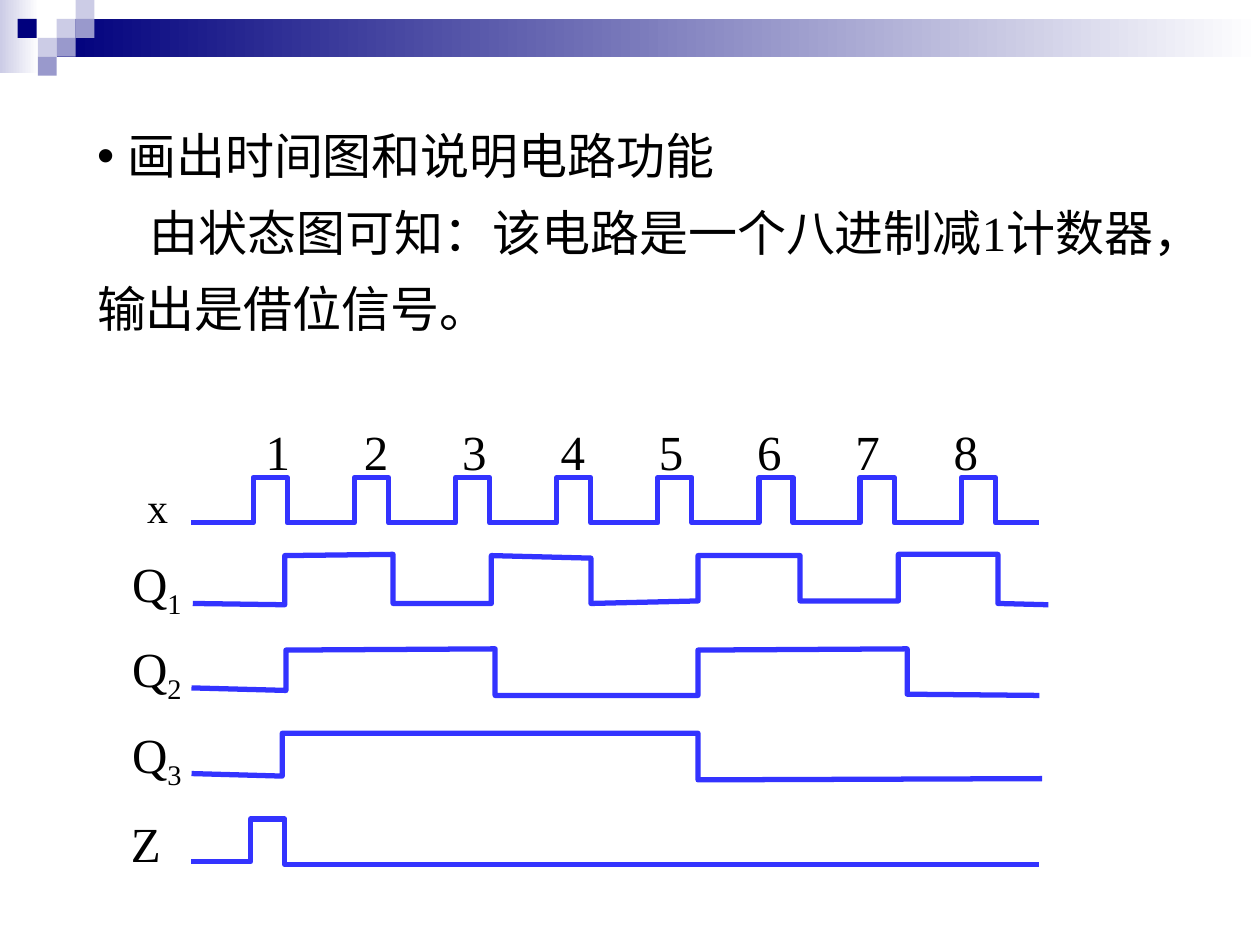
from lxml import etree
from pptx import Presentation
from pptx import util as u
from pptx.dml.color import RGBColor
from pptx.enum import shapes, text
from pptx.oxml import ns

NAVY = RGBColor(0x00, 0x00, 0x7D)
MID = RGBColor(0x99, 0x99, 0xCC)
PALE = RGBColor(0xCC, 0xCC, 0xE6)
WHITE = RGBColor(0xFF, 0xFF, 0xFF)
BLUE = RGBColor(0x33, 0x33, 0xFF)
BLACK = RGBColor(0x00, 0x00, 0x00)
FONT = "Times New Roman"

deck = Presentation()
deck.slide_width, deck.slide_height = u.Inches(10), u.Inches(7.5)
COL, ROW = deck.slide_width / 10, deck.slide_height / 7.5
slide = deck.slides.add_slide(deck.slide_layouts[1])
title = slide.shapes.title
title.element.getparent().remove(title.element)


def place(x, y, w, h):
    return int(x * COL), int(y * ROW), int(w * COL), int(h * ROW)


def write(para, words, size=28):
    run = para.add_run()
    run.text = words
    run.font.size = u.Pt(size)
    run.font.name = FONT
    run.font.color.rgb = BLACK
    return run


bands = [(0, 0, 0.31, 0.58, PALE), (0.45, 0.15, 9.55, 0.3, NAVY)]
tiles = [(0.45, 0.15, PALE), (0.6, 0, PALE), (0.6, 0.15, MID), (0.3, 0.3, PALE),
         (0.14, 0.15, NAVY), (0.45, 0.3, MID), (0.3, 0.45, MID)]
for x, y, w, h, tone in bands + [(x, y, 0.15, 0.15, tone) for x, y, tone in tiles]:
    rect = slide.shapes.add_shape(shapes.MSO_SHAPE.RECTANGLE, *place(x, y, w, h))
    rect.shadow.inherit = False
    rect.line.fill.background()
    if w > 0.15:
        rect.fill.gradient()
        rect.fill.gradient_angle = 0
        for stop, shade, spot in zip(rect.fill.gradient_stops, (tone, WHITE), (0, 1)):
            stop.color.rgb = shade
            stop.position = spot
    else:
        rect.fill.solid()
        rect.fill.fore_color.rgb = tone

body = slide.placeholders[1]
body.left, body.top, body.width, body.height = place(0.67, 0.81, 8.78, 1.92)
frame = body.text_frame
frame.auto_size = text.MSO_AUTO_SIZE.NONE
frame.vertical_anchor = text.MSO_ANCHOR.TOP
lines = [("画出时间图和说明电路功能", 0.24, -0.24, "•"),
         ("由状态图可知：该电路是一个八进制减1计数器，输出是借位信号。", 0, 0.42, None)]
for i, (words, left, first, mark) in enumerate(lines):
    para = frame.add_paragraph() if i else frame.paragraphs[0]
    para.line_spacing = 1.3
    para.space_before = u.Pt(0)
    write(para, words)
    props = para._p.get_or_add_pPr()
    props.set("marL", str(u.Inches(left)))
    props.set("indent", str(u.Inches(first)))
    if mark:
        etree.SubElement(props, ns.qn("a:buChar")).set("char", mark)
    else:
        etree.SubElement(props, ns.qn("a:buNone"))

rise = [2.01 + i * (7.63 - 2.01) / 7 for i in range(8)]
clock = [edge for x in rise for edge in (x, x + 0.27)]
waves = [
    (1.52, clock, 8.25, [4.15, 4.15] + [3.79, 3.79, 4.15, 4.15] * 8),
    (1.53, [2.26, 3.12, 3.9, 4.69, 5.54, 6.35, 7.13, 7.92], 8.32,
     [4.79, 4.8, 4.41, 4.4, 4.79, 4.79, 4.41, 4.43, 4.79, 4.77,
      4.41, 4.41, 4.77, 4.77, 4.4, 4.4, 4.79, 4.8]),
    (1.52, [2.27, 3.93, 5.54, 7.2], 8.25,
     [5.46, 5.48, 5.16, 5.15, 5.52, 5.52, 5.16, 5.15, 5.51, 5.52]),
    (1.52, [2.24, 5.54], 8.27, [6.14, 6.16, 5.82, 5.82, 6.19, 6.18]),
    (1.52, [1.99, 2.26], 8.25, [6.84, 6.84, 6.5, 6.5, 6.86, 6.86]),
]
for start, edges, end, highs in waves:
    across = [start] + [x for edge in edges for x in (edge, edge)] + [end]
    dots = [(int(x * COL), int(y * ROW)) for x, y in zip(across, highs)]
    pen = slide.shapes.build_freeform(*dots[0])
    pen.add_line_segments(dots[1:], close=False)
    wave = pen.convert_to_shape()
    wave.shadow.inherit = False
    wave.fill.background()
    wave.line.color.rgb = BLUE
    wave.line.width = u.Pt(3)
    etree.SubElement(wave.line._get_or_add_ln(), ns.qn("a:round"))

labels = [(2.01 + 0.78 * i, 3.3, 0.39, 0.57, str(i + 1), "", 28) for i in range(8)]
labels += [(0.95, 4.34 + 0.68 * i, 0.59, 0.63, "Q", str(i + 1), 28) for i in range(3)]
labels += [(1.07, 3.82, 0.36, 0.46, "x", "", 24), (0.94, 6.41, 0.44, 0.57, "Z", "", 28)]
for x, y, w, h, name, sub, size in labels:
    label = slide.shapes.add_textbox(*place(x, y, w, h))
    label.text_frame.word_wrap = False
    para = label.text_frame.paragraphs[0]
    para.line_spacing = 0.9 if name == "x" else 1.0
    write(para, name, size)
    if sub:
        write(para, sub, size).font._element.set("baseline", "-25000")

deck.save("out.pptx")
